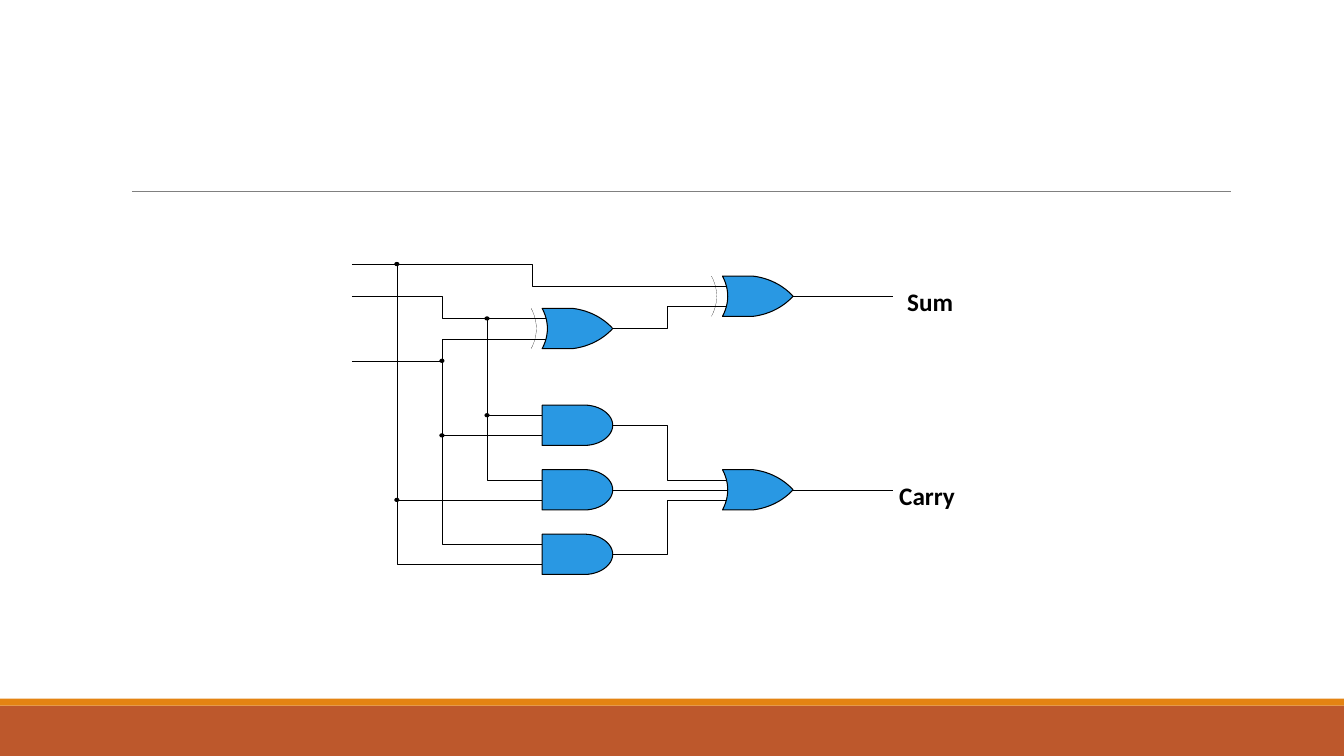
from lxml import etree
from pptx import Presentation
from pptx.dml.color import RGBColor
from pptx.enum import shapes, text
from pptx.oxml import ns
from pptx.util import Pt

BLACK = RGBColor(0x00, 0x00, 0x00)
GRAY = RGBColor(0x80, 0x80, 0x80)
GATE_BLUE = RGBColor(0x29, 0x98, 0xE3)
ORANGE = RGBColor(0xE4, 0x83, 0x12)
RUST = RGBColor(0xBD, 0x58, 0x2C)

COLUMN, ROW, PIN = 32.2, 23.04, 7.2
GATE_WIDTH, GATE_HEIGHT, GATE_INSET = 50.4, 28.8, 7.2
HAIRLINE, OUTLINE = 0.11, 0.75

GATES = [("xor", 8, 1), ("xor", 4, 2), ("and", 4, 5), ("and", 4, 7), ("and", 4, 9), ("or", 8, 7)]
NETS = [
    [[(6, 9, 0), (7, 9, 0), (7, 7, 1), (8, 7, 1)]],
    [[(6, 5, 0), (7, 5, 0), (7, 7, -1), (8, 7, -1)]],
    [[(6, 2, 0), (7, 2, 0), (7, 1, 1), (8, 1, 1)]],
    [[(0, 0, 0), (4, 0, 0), (4, 1, -1), (8, 1, -1)],
     [(4, 9, 1), (1, 9, 1), (1, 0, 0)],
     [(4, 7, 1), (1, 7, 1)]],
    [[(0, 1, 0), (2, 1, 0), (2, 2, -1), (4, 2, -1)],
     [(4, 7, -1), (3, 7, -1), (3, 2, -1)],
     [(4, 5, -1), (3, 5, -1)]],
    [[(4, 2, 1), (2, 2, 1), (2, 9, -1), (4, 9, -1)],
     [(4, 5, 1), (2, 5, 1)]],
]
STRAIGHT_WIRES = [(6, 8, 7), (0, 2, 3), (10, 12, 1), (10, 12, 7)]
JUNCTIONS = [(1, 0, 0), (3, 2, -1), (2, 3, 0), (3, 5, -1), (2, 5, 1), (1, 7, 1)]
LABELS = [("Sum", 396.7, 15.8), ("Carry", 391, 154.8)]


def curve(start, control1, control2, end, steps=12):
    points = []
    for step in range(steps + 1):
        t = step / steps
        weights = ((1 - t) ** 3, 3 * t * (1 - t) ** 2, 3 * t * t * (1 - t), t ** 3)
        corners = (start, control1, control2, end)
        points.append(tuple(sum(w * c[axis] for w, c in zip(weights, corners)) for axis in (0, 1)))
    return points


BACK_CURVE = curve((0, 0), (5, 9.4), (5, 19.4), (0, GATE_HEIGHT))
TIP = (GATE_WIDTH, GATE_HEIGHT / 2)
OR_BODY = (BACK_CURVE
           + curve((21.6, GATE_HEIGHT), (33.8, 27.4), (43.9, 21.6), TIP)
           + curve(TIP, (43.9, 7.2), (33.8, 1.4), (21.6, 0)))
AND_BODY = ([(0, 0), (0, GATE_HEIGHT)]
            + curve((30.2, GATE_HEIGHT), (41, GATE_HEIGHT), (GATE_WIDTH, 22.3), TIP)
            + curve(TIP, (GATE_WIDTH, 6.5), (41, 0), (30.2, 0)))


def add_outline(slide, left, top, strokes, width, fill=None):
    placed = [[(Pt(left + x), Pt(top + y)) for x, y in stroke] for stroke in strokes]
    builder = slide.shapes.build_freeform(*placed[0][0], scale=1.0)
    for index, stroke in enumerate(placed):
        if index:
            builder.move_to(*stroke[0])
        builder.add_line_segments(stroke[1:], close=fill is not None)
    shape = builder.convert_to_shape()
    shape.shadow.inherit = False
    shape.line.color.rgb = BLACK
    shape.line.width = Pt(width)
    if fill is None:
        shape.fill.background()
    else:
        shape.fill.solid()
        shape.fill.fore_color.rgb = fill


def add_straight(slide, x1, y1, x2, y2, color, width):
    line = slide.shapes.add_connector(shapes.MSO_CONNECTOR.STRAIGHT, Pt(x1), Pt(y1), Pt(x2), Pt(y2))
    line.line.color.rgb = color
    line.line.width = Pt(width)
    etree.SubElement(line._element.spPr, ns.qn("a:effectLst"))


def add_filled(slide, kind, left, top, width, height, color):
    shape = slide.shapes.add_shape(kind, Pt(left), Pt(top), Pt(width), Pt(height))
    shape.shadow.inherit = False
    shape.fill.solid()
    shape.fill.fore_color.rgb = color
    shape.line.fill.background()
    return shape


def add_gate(slide, kind, left, top):
    body = AND_BODY if kind == "and" else OR_BODY
    add_outline(slide, left, top, [body], OUTLINE, GATE_BLUE)
    middle = GATE_HEIGHT / 2
    pin_end = 0 if kind == "and" else 2.9
    strokes = [[(GATE_WIDTH, middle), (2 * COLUMN - GATE_INSET, middle)]]
    strokes += [[(-GATE_INSET, middle + offset), (pin_end, middle + offset)] for offset in (-PIN, PIN)]
    if kind == "or":
        strokes.append([(-GATE_INSET, middle), (3.7, middle)])
    if kind == "xor":
        strokes.append([(x - 7.9, y) for x, y in BACK_CURVE])
    add_outline(slide, left, top, strokes, HAIRLINE)


def add_label(slide, label, left, top):
    box = slide.shapes.add_textbox(Pt(left), Pt(top), Pt(54.7), Pt(21.6))
    frame = box.text_frame
    frame.word_wrap = True
    frame.auto_size = text.MSO_AUTO_SIZE.NONE
    frame.margin_left = frame.margin_right = frame.margin_top = frame.margin_bottom = 0
    paragraph = frame.paragraphs[0]
    paragraph.text = label
    paragraph.font.name = "Calibri"
    paragraph.font.size = Pt(18)
    paragraph.font.bold = True
    paragraph.font.color.rgb = BLACK


def add_adder(slide, left, top):
    def grid(column, row, pin):
        return column * COLUMN, row * ROW + pin * PIN

    for kind, column, row in GATES:
        x, y = grid(column, row, 0)
        add_gate(slide, kind, left + x + GATE_INSET, top + y - GATE_HEIGHT / 2)
    for net in NETS:
        for wire in net[:1] if len(net) == 1 else [None]:
            strokes = net if wire is None else [wire]
            add_outline(slide, left, top, [[grid(*point) for point in stroke] for stroke in strokes], HAIRLINE)
    for start, end, row in STRAIGHT_WIRES:
        y = top + row * ROW
        add_straight(slide, left + start * COLUMN, y, left + end * COLUMN, y, BLACK, HAIRLINE)
    for junction in JUNCTIONS:
        x, y = grid(*junction)
        dot = add_filled(slide, shapes.MSO_SHAPE.OVAL, left + x - 1.45, top + y - 1.1, 2.9, 2.2, BLACK)
        dot.line.color.rgb = BLACK
        dot.line.width = Pt(OUTLINE)
    for label, x, y in LABELS:
        add_label(slide, label, left + x, top + y)


def add_frame(slide, width, height):
    add_filled(slide, shapes.MSO_SHAPE.RECTANGLE, 0, height - 36, width, 36, RUST)
    add_filled(slide, shapes.MSO_SHAPE.RECTANGLE, 0, height - 41, width, 5, ORANGE)
    add_straight(slide, 94.3, 136.8, 879.1, 136.8, GRAY, 0.5)


def main():
    presentation = Presentation()
    presentation.slide_width, presentation.slide_height = Pt(960), Pt(540)
    slide = presentation.slides.add_slide(presentation.slide_layouts[6])
    add_frame(slide, 960, 540)
    add_adder(slide, 251.3, 188.6)
    presentation.save("out.pptx")


if __name__ == "__main__":
    main()
